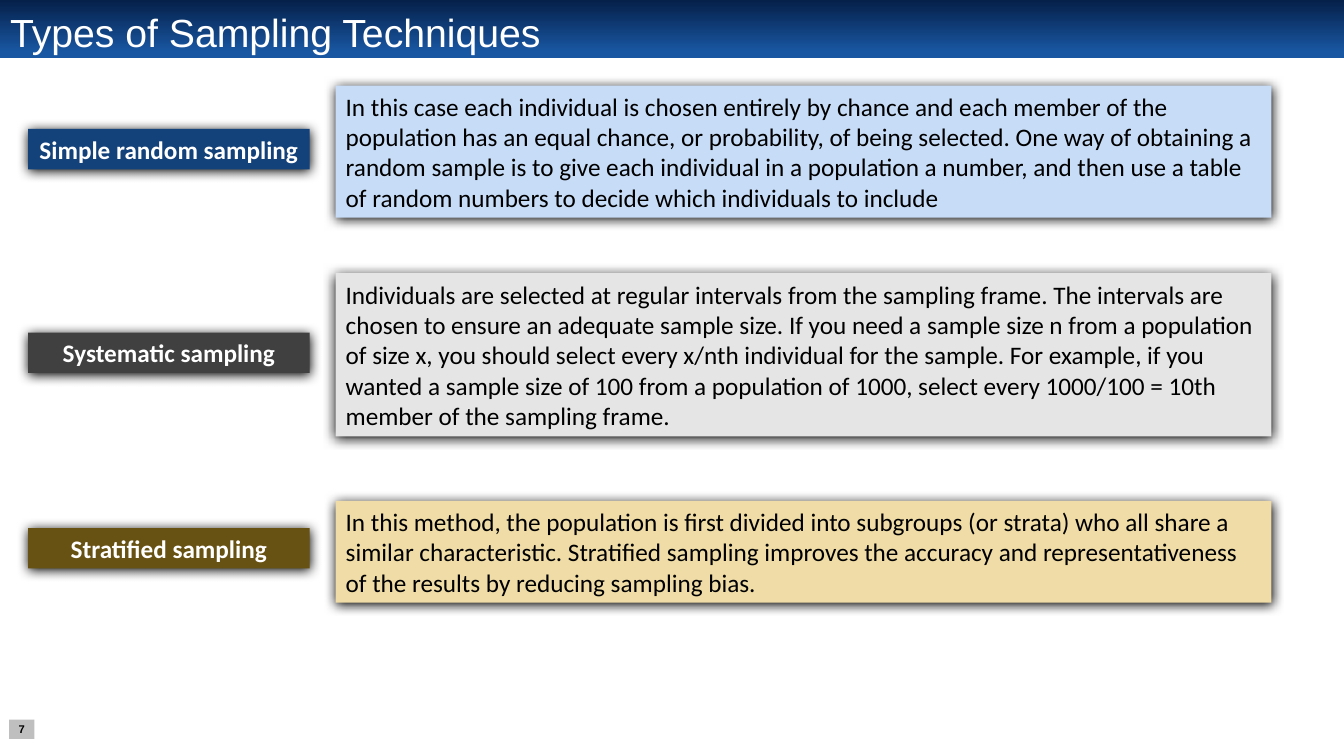
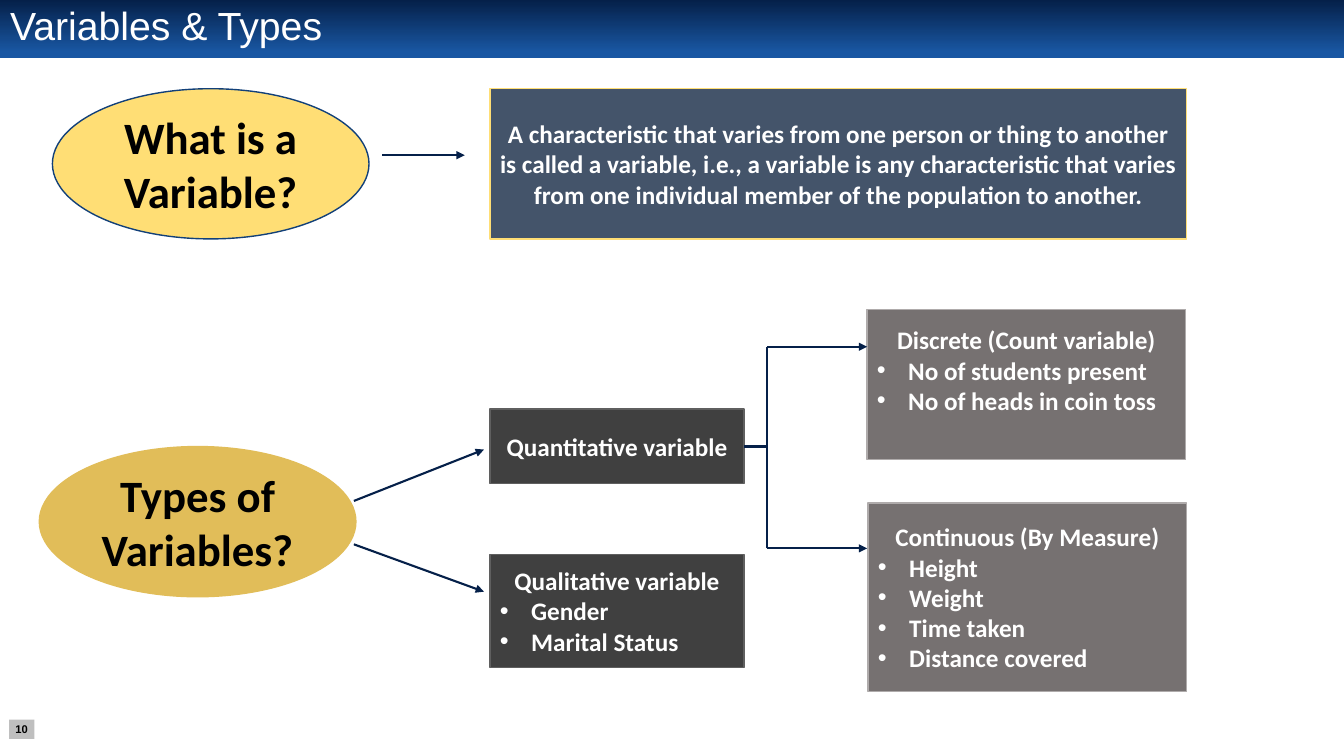
import lxml.etree
import pptx
import pptx.dml.color
import pptx.enum.shapes
import pptx.enum.text
import pptx.oxml.ns
import pptx.util

Inches = pptx.util.Inches
Pt = pptx.util.Pt
qn = pptx.oxml.ns.qn
ALIGN = pptx.enum.text.PP_ALIGN
ANCHOR = pptx.enum.text.MSO_ANCHOR
SHAPE = pptx.enum.shapes.MSO_SHAPE

COLORS = {
    "navy": "052049", "blue": "1957A3", "white": "FFFFFF", "black": "000000",
    "number": "BFBFBF", "deep blue": "13417A", "pale blue": "C7DCF6",
    "charcoal": "404040", "pale gray": "E5E5E5", "brown": "685213",
    "sand": "EFDCA6", "slate": "44546A", "yellow": "FFDE75",
    "gold": "E1BD59", "outline blue": "124079", "outline gray": "5F5F5F",
    "stone": "767171", "light stone": "AFABAB",
}
SLIDE_WIDTH = 13.33


def color(name):
    return pptx.dml.color.RGBColor.from_string(COLORS[name])


def add_xml(parent, tag, **attributes):
    element = lxml.etree.SubElement(parent, qn(tag))
    for key, value in attributes.items():
        element.set(key, str(value))
    return element


def write(paragraph, text, size=18, font="Calibri", ink="white", bold=True,
          align=ALIGN.CENTER, bullet=False):
    if bullet:
        align = ALIGN.LEFT
        properties = paragraph._p.get_or_add_pPr()
        properties.set("marL", str(Inches(0.31)))
        properties.set("indent", str(-Inches(0.31)))
        add_xml(properties, "a:buFont", typeface="Arial")
        add_xml(properties, "a:buChar", char="•")
    paragraph.alignment = align
    run = paragraph.add_run()
    run.text = text
    run.font.size = Pt(size)
    run.font.name = font
    run.font.bold = bold
    run.font.color.rgb = color(ink)


class Deck:
    def __init__(self):
        self.presentation = pptx.Presentation()
        self.presentation.slide_width = Inches(SLIDE_WIDTH)
        self.presentation.slide_height = Inches(7.5)
        self.slide = None

    def start_slide(self, title, number, title_top):
        """Add a slide with its title over the gradient band and its number."""
        self.slide = self.presentation.slides.add_slide(
            self.presentation.slide_layouts[5])
        placeholder = self.slide.shapes.title
        placeholder.left, placeholder.top = Inches(0), Inches(title_top)
        placeholder.width, placeholder.height = Inches(SLIDE_WIDTH), Inches(0.45)
        frame = placeholder.text_frame
        frame.auto_size = pptx.enum.text.MSO_AUTO_SIZE.NONE
        frame.vertical_anchor = ANCHOR.MIDDLE
        paragraph = frame.paragraphs[0]
        paragraph.line_spacing = 0.9
        write(paragraph, title, size=28, font="Arial", bold=False,
              align=ALIGN.LEFT)

        band = self.box((0, 0, SLIDE_WIDTH, 0.58), "navy")
        band.fill.gradient()
        band.fill.gradient_angle = 270
        stops = band.fill.gradient_stops
        for stop, name, position in zip(stops, ("navy", "blue"), (0, 0.9)):
            stop.color.rgb = color(name)
            stop.position = position
        placeholder.element.addprevious(band.element)

        badge = self.box((0.09, 7.14, 0.25, 0.19), "number", wrap=False)
        frame = badge.text_frame
        frame.margin_left = frame.margin_right = 0
        frame.margin_top = frame.margin_bottom = 0
        write(frame.paragraphs[0], str(number), size=8, font="Arial",
              ink="black")

    def box(self, place, fill, text=None, bullets=(), line=None,
            kind=SHAPE.RECTANGLE, shadow=False, wrap=True, top_margin=None,
            **text_format):
        """Add a filled shape; a top margin anchors its text to the top."""
        shape = self.slide.shapes.add_shape(kind, *map(Inches, place))
        shape.shadow.inherit = False
        shape.fill.solid()
        shape.fill.fore_color.rgb = color(fill)
        if line:
            shape.line.color.rgb = color(line)
            shape.line.width = Pt(1)
        else:
            shape.line.fill.background()
        if shadow:
            effects = shape.element.spPr.find(qn("a:effectLst"))
            outer = add_xml(effects, "a:outerShdw", blurRad=Pt(8.5),
                            dist=Pt(1), dir=90 * 60000, rotWithShape=0)
            add_xml(outer, "a:srgbClr", val=COLORS["black"])
        frame = shape.text_frame
        frame.word_wrap = wrap
        frame.vertical_anchor = ANCHOR.MIDDLE
        if top_margin is not None:
            frame.vertical_anchor = ANCHOR.TOP
            frame.margin_top = Inches(top_margin)
        if text:
            write(frame.paragraphs[0], text, **text_format)
        for bullet in bullets:
            write(frame.add_paragraph(), bullet, bullet=True)
        return shape

    def line(self, start, end, arrow=True):
        connector = self.slide.shapes.add_connector(
            pptx.enum.shapes.MSO_CONNECTOR.STRAIGHT,
            *map(Inches, (*start, *end)))
        connector.line.color.rgb = color("navy")
        connector.line.width = Pt(1.5)
        properties = connector.element.spPr
        if arrow:
            add_xml(properties.find(qn("a:ln")), "a:tailEnd", type="triangle")
        add_xml(properties, "a:effectLst")


def add_sampling_slide(deck):
    deck.start_slide("Types of Sampling Techniques", 7, title_top=0.12)
    techniques = [
        ("Simple random sampling", 1.28, "deep blue", 0.85, 1.31, "pale blue",
         "In this case each individual is chosen entirely by chance and each "
         "member of the population has an equal chance, or probability, of "
         "being selected. One way of obtaining a random sample is to give each "
         "individual in a population a number, and then use a table of random "
         "numbers to decide which individuals to include"),
        ("Systematic sampling", 3.3, "charcoal", 2.71, 1.62, "pale gray",
         "Individuals are selected at regular intervals from the sampling "
         "frame. The intervals are chosen to ensure an adequate sample size. "
         "If you need a sample size n from a population of size x, you should "
         "select every x/nth individual for the sample. For example, if you "
         "wanted a sample size of 100 from a population of 1000, select every "
         "1000/100 = 10th member of the sampling frame."),
        ("Stratified sampling", 5.24, "brown", 4.97, 1.01, "sand",
         "In this method, the population is first divided into subgroups (or "
         "strata) who all share a similar characteristic. Stratified sampling "
         "improves the accuracy and representativeness of the results by "
         "reducing sampling bias."),
    ]
    for name, name_top, dark, top, height, pale, description in techniques:
        deck.box((0.28, name_top, 2.79, 0.4), dark, name, shadow=True,
                 wrap=False)
        deck.box((3.33, top, 9.28, height), pale, description, shadow=True,
                 ink="black", bold=False, align=ALIGN.LEFT)


def add_variables_slide(deck):
    deck.start_slide("Variables & Types", 10, title_top=0.05)
    questions = [
        ("What is a Variable?", 0.52, 0.88, "yellow", "outline blue"),
        ("Types of Variables?", 0.39, 4.43, "gold", "gold"),
    ]
    for question, left, top, fill, line in questions:
        deck.box((left, top, 3.14, 1.49), fill, question, line=line,
                 kind=SHAPE.OVAL, size=32, ink="black")

    deck.box((4.86, 0.88, 6.91, 1.49), "slate",
             "A characteristic that varies from one person or thing to another "
             "is called a variable, i.e., a variable is any characteristic "
             "that varies from one individual member of the population to "
             "another.", line="yellow")

    deck.box((4.86, 4.06, 2.52, 0.74), "charcoal", "Quantitative variable",
             line="outline gray")
    deck.box((4.86, 5.5, 2.52, 1.12), "charcoal", "Qualitative variable",
             ["Gender", "Marital Status"], line="outline gray")
    deck.box((8.6, 3.07, 3.16, 1.49), "stone", "Discrete (Count variable)",
             ["No of students present", "No of heads in coin toss"],
             line="light stone", top_margin=0.15)
    deck.box((8.61, 4.99, 3.16, 1.87), "stone", "Continuous (By Measure)",
             ["Height", "Weight", "Time taken", "Distance covered"],
             line="light stone")

    deck.line((3.79, 1.54), (4.61, 1.54))
    deck.line((3.51, 4.97), (4.8, 4.46))
    deck.line((3.51, 5.4), (4.8, 5.87))

    fork, upper, lower = 7.61, 3.44, 5.44
    deck.line((7.38, 4.43), (fork, 4.43), arrow=False)
    deck.line((fork, lower), (fork, upper), arrow=False)
    for branch in (upper, lower):
        deck.line((fork, branch), (8.6, branch))


def main():
    deck = Deck()
    add_sampling_slide(deck)
    add_variables_slide(deck)
    deck.presentation.save("out.pptx")


if __name__ == "__main__":
    main()
